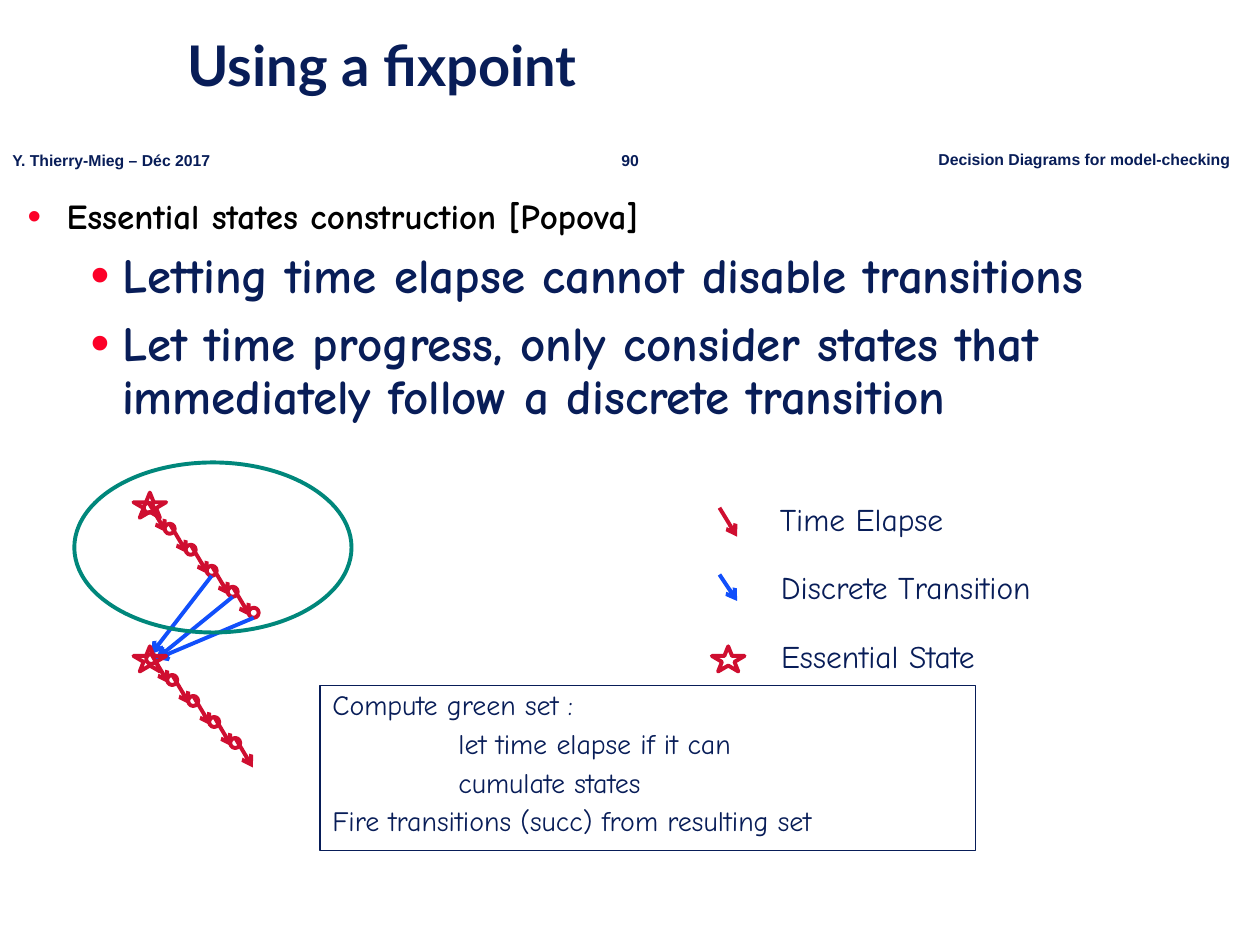
from dataclasses import dataclass
from lxml import etree
from pptx import Presentation
from pptx import util as u
from pptx.dml.color import RGBColor
from pptx.enum import shapes, text
from pptx.oxml.ns import qn


@dataclass(frozen=True)
class Theme:
    navy: str = "081D58"
    black: str = "000000"
    bullet: str = "FC0128"
    red: str = "CF0E30"
    blue: str = "114FFB"
    green: str = "00877B"
    head: str = "Lato"
    body: str = "Comic Neue"
    small: str = "Arial"
    title_size: int = 32
    topic_size: int = 20
    point_size: int = 28
    legend_size: int = 18
    note_size: int = 16
    header_size: int = 9
    stroke: float = 2.25


T = Theme()
DOT = 0.08
STEP = 1 / 6


def inches(*lengths):
    return [u.Inches(v) for v in lengths]


def add_text(p, words, size, color, font=T.body, bold=False):
    r = p.add_run()
    r.text = words
    r.font.size = u.Pt(size)
    r.font.name = font
    r.font.bold = bold
    r.font.color.rgb = RGBColor.from_string(color)


def space(p, size, first):
    p.line_spacing = 0.9
    if not first:
        p.space_before = u.Pt(0.3 * size)


def text_box(s, box, wrap=True):
    tf = s.shapes.add_textbox(*inches(*box)).text_frame
    tf.word_wrap = wrap
    if not wrap:
        tf.auto_size = text.MSO_AUTO_SIZE.SHAPE_TO_FIT_TEXT
    return tf


def outline(s, kind, box, color, width=T.stroke):
    sp = s.shapes.add_shape(kind, *inches(*box))
    sp.shadow.inherit = False
    sp.fill.background()
    sp.line.color.rgb = RGBColor.from_string(color)
    sp.line.width = u.Pt(width)
    return sp


def arrow(s, x1, y1, x2, y2, color):
    c = s.shapes.add_connector(shapes.MSO_CONNECTOR.STRAIGHT, *inches(x1, y1, x2, y2))
    c.line.color.rgb = RGBColor.from_string(color)
    c.line.width = u.Pt(T.stroke)
    etree.SubElement(c.line._get_or_add_ln(), qn("a:tailEnd"), type="arrow")
    etree.SubElement(c._element.spPr, qn("a:effectLst"))


def star(s, x, y):
    outline(s, shapes.MSO_SHAPE.STAR_5_POINT, (x, y, 0.26, 0.2), T.red)


def add_bullet(p, margin, hang):
    pPr = p._p.get_or_add_pPr()
    pPr.set("marL", str(u.Inches(margin)))
    pPr.set("indent", str(u.Inches(-hang)))
    color = etree.SubElement(pPr, qn("a:buClr"))
    etree.SubElement(color, qn("a:srgbClr"), val=T.bullet)
    etree.SubElement(pPr, qn("a:buSzPct"), val="110000")
    etree.SubElement(pPr, qn("a:buFont"), typeface=T.small)
    etree.SubElement(pPr, qn("a:buChar"), char="•")


def title(s, box):
    tf = text_box(s, box)
    tf.vertical_anchor = text.MSO_ANCHOR.MIDDLE
    p = tf.paragraphs[0]
    space(p, T.title_size, True)
    add_text(p, "Using a fixpoint", T.title_size, T.navy, T.head, True)


def header(s, x, y):
    items = [
        (0, 0.01, 1.8, "Y. Thierry-Mieg – Déc 2017", text.PP_ALIGN.LEFT),
        (4.79, 0.01, 0.42, "90", text.PP_ALIGN.CENTER),
        (7.35, 0, 2.53, "Decision Diagrams for model-checking", text.PP_ALIGN.LEFT),
    ]
    for dx, dy, w, words, align in items:
        p = text_box(s, (x + dx, y + dy, w, 0.25), False).paragraphs[0]
        p.alignment = align
        add_text(p, words, T.header_size, T.navy, T.small, True)


def bullets(s, box):
    tf = text_box(s, box)
    items = [
        (0, "Essential states construction [Popova]"),
        (1, "Letting time elapse cannot disable transitions"),
        (1, "Let time progress, only consider states that "
            "immediately follow a discrete transition"),
    ]
    styles = [(0.31, 0.31, T.topic_size, T.black), (0.75, 0.25, T.point_size, T.navy)]
    for i, (level, words) in enumerate(items):
        p = tf.add_paragraph() if i else tf.paragraphs[0]
        margin, hang, size, color = styles[level]
        p.level = level
        space(p, size, i == 0)
        add_bullet(p, margin, hang)
        add_text(p, words, size, color, bold=True)


def time_chain(s, x, y, states, steps):
    for i in range(max(states, steps)):
        cx, cy = x + i * STEP, y + i * STEP
        if i < states:
            outline(s, shapes.MSO_SHAPE.OVAL, (cx, cy, DOT, DOT), T.red)
        if i < steps:
            arrow(s, cx + DOT / 2, cy, cx + 0.18, cy + 0.235, T.red)


def state_graph(s, x, y, w, h):
    first_x, first_y = x + 0.55, y + 0.32
    next_x, next_y = x + 0.57, y + 1.52
    time_chain(s, first_x, first_y, 6, 5)
    time_chain(s, next_x, next_y, 5, 5)
    targets = [(0.04, 0), (DOT, 0.04), (DOT, 0.04)]
    for i, (dx, dy) in enumerate(targets, 3):
        arrow(s, first_x + i * STEP + DOT / 2, first_y + i * STEP + DOT,
              next_x + dx, next_y + dy, T.blue)
    for dy in (0.24, 1.46):
        star(s, x + 0.47, y + dy)
    outline(s, shapes.MSO_SHAPE.OVAL, (x, y, w, h), T.green)


def legend(s, x, y):
    arrow(s, x + 0.06, y + 0.08, x + 0.2, y + 0.31, T.red)
    arrow(s, x + 0.06, y + 0.61, x + 0.2, y + 0.82, T.blue)
    star(s, x, y + 1.18)
    labels = [
        (0.44, 0, 1.61, "Time Elapse"),
        (0.45, 0.54, 2.5, "Discrete Transition"),
        (0.45, 1.09, 2.02, "Essential State"),
    ]
    for dx, dy, w, words in labels:
        p = text_box(s, (x + dx, y + dy, w, 0.37), False).paragraphs[0]
        space(p, T.legend_size, True)
        add_text(p, words, T.legend_size, T.navy)


def algorithm(s, box):
    tf = outline(s, shapes.MSO_SHAPE.RECTANGLE, box, T.navy, 0.75).text_frame
    tf.word_wrap = True
    tf.vertical_anchor = text.MSO_ANCHOR.TOP
    lines = [
        (0, "Compute green set :"),
        (1, "let time elapse if it can"),
        (1, "cumulate states"),
        (0, "Fire transitions (succ) from resulting set"),
    ]
    for i, (indent, words) in enumerate(lines):
        p = tf.add_paragraph() if i else tf.paragraphs[0]
        p.alignment = text.PP_ALIGN.LEFT
        p._p.get_or_add_pPr().set("marL", str(u.Inches(indent)))
        space(p, T.note_size, i == 0)
        add_text(p, words, T.note_size, T.navy)


def main():
    prs = Presentation()
    prs.slide_width, prs.slide_height = inches(10, 7.5)
    s = prs.slides.add_slide(prs.slide_layouts[6])
    header(s, 0, 1.14)
    title(s, (1.39, 0, 8.61, 1.08))
    bullets(s, (0.12, 1.53, 9.69, 2.14))
    state_graph(s, 0.59, 3.67, 2.2, 1.35)
    legend(s, 5.65, 3.95)
    algorithm(s, (2.54, 5.44, 5.2, 1.31))
    prs.save("out.pptx")


if __name__ == "__main__":
    main()
